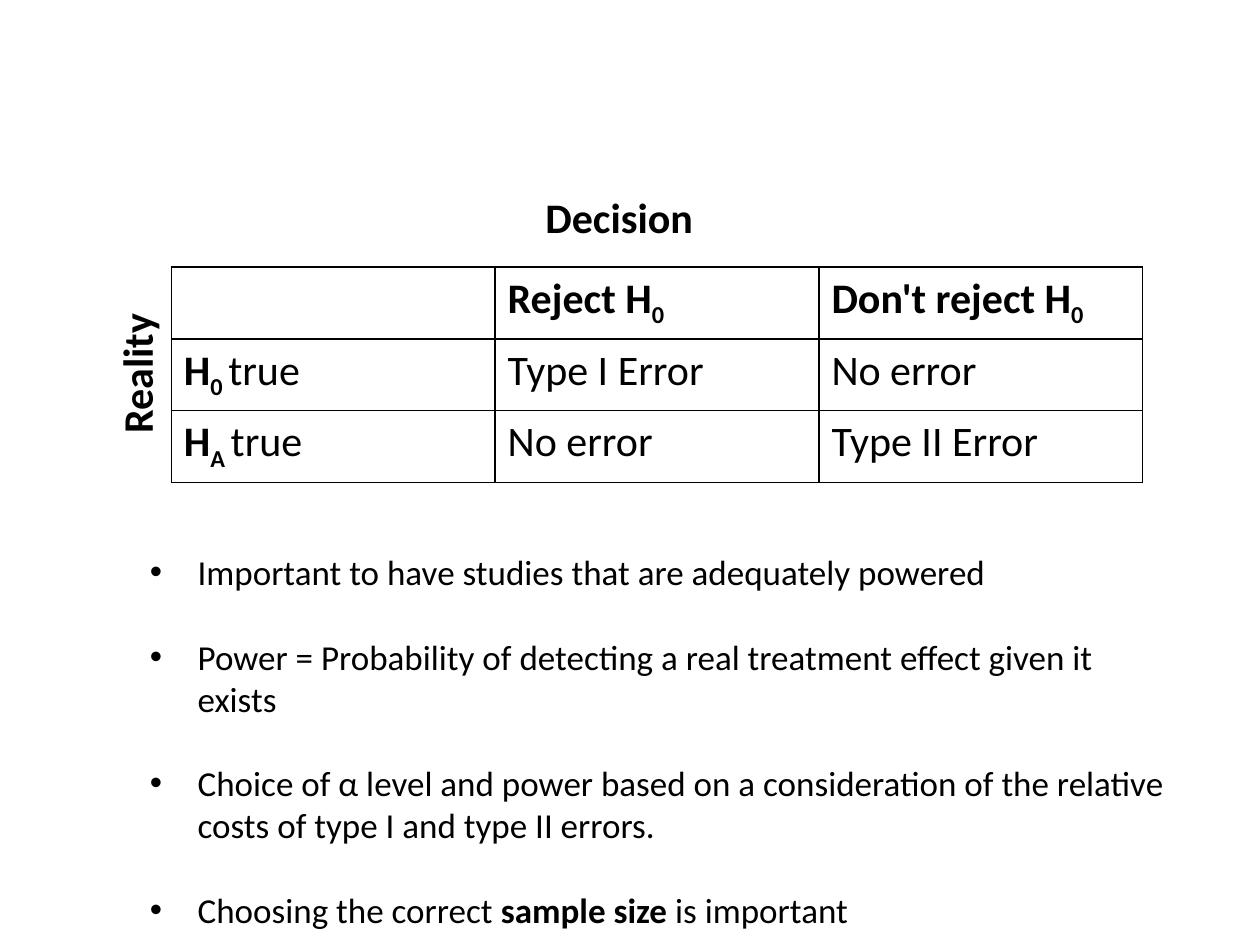
from lxml import etree
from pptx import Presentation
from pptx import util as u
from pptx.dml.color import RGBColor
from pptx.oxml.ns import qn

BLACK = RGBColor(0, 0, 0)
FONT = "Calibri"
PLAIN, BOLD, SUBSCRIPT = "plain", "bold", "subscript"  # subscripts are bold too

ERROR_TABLE = [
    [[],
     [("Reject H", BOLD), ("0", SUBSCRIPT)],
     [("Don't reject H", BOLD), ("0", SUBSCRIPT)]],
    [[("H", BOLD), ("0 ", SUBSCRIPT), ("true", PLAIN)],
     [("Type I Error", PLAIN)],
     [("No error", PLAIN)]],
    [[("H", BOLD), ("A ", SUBSCRIPT), ("true", PLAIN)],
     [("No error", PLAIN)],
     [("Type II Error", PLAIN)]],
]
BULLETS = [
    [("Important to have studies that are adequately powered", PLAIN)],
    [("Power = Probability of detecting a real treatment effect given it exists", PLAIN)],
    [("Choice of α level and power based on a consideration of the relative "
      "costs of type I and type II errors.", PLAIN)],
    [("Choosing the correct ", PLAIN), ("sample size ", BOLD), ("is important", PLAIN)],
]
AXIS_LABELS = [  # text, left, top, width, rotation
    ("Reality", 0.29, 2.5, 1.58, 270),
    ("Decision", 4.23, 1.47, 2.12, 0),
]
TABLE_LEFT, TABLE_TOP = 1.36, 2.12
COLUMN_WIDTH, ROW_HEIGHT = 2.57, 0.57
INDENT = 0.38


def write_text(frame, paragraphs, size=24, bullet=None, gap=0):
    """Fill a text frame with paragraphs, each a list of (text, style) runs."""
    frame.word_wrap = True
    for index, runs in enumerate(paragraphs):
        paragraph = frame.add_paragraph() if index else frame.paragraphs[0]
        if bullet:
            properties = paragraph._p.get_or_add_pPr()
            properties.set("marL", str(u.Inches(INDENT)))
            properties.set("indent", str(-u.Inches(INDENT)))
            etree.SubElement(properties, qn("a:buFont"), typeface="Arial")
            etree.SubElement(properties, qn("a:buChar"), char=bullet)
        if index:
            paragraph.space_before = u.Pt(gap)
        paragraph.font.size = u.Pt(size)
        for content, style in runs:
            run = paragraph.add_run()
            run.text = content
            font = run.font
            font.name, font.size, font.bold = FONT, u.Pt(size), style != PLAIN
            font.color.rgb = BLACK
            if style == SUBSCRIPT:
                run._r.get_or_add_rPr().set("baseline", "-25000")


def add_text_box(slide, left, top, width, height, paragraphs, rotation=0, **text_format):
    box = slide.shapes.add_textbox(*map(u.Inches, (left, top, width, height)))
    box.rotation = rotation
    write_text(box.text_frame, paragraphs, **text_format)


def set_borders(cell):
    properties = cell._tc.get_or_add_tcPr()
    for side in ("lnL", "lnR", "lnT", "lnB"):
        line = etree.SubElement(properties, qn(f"a:{side}"), w=str(u.Pt(1)))
        fill = etree.SubElement(line, qn("a:solidFill"))
        etree.SubElement(fill, qn("a:srgbClr"), val=str(BLACK))


def add_error_table(slide):
    rows, columns = len(ERROR_TABLE), len(ERROR_TABLE[0])
    table = slide.shapes.add_table(
        rows, columns, u.Inches(TABLE_LEFT), u.Inches(TABLE_TOP),
        u.Inches(columns * COLUMN_WIDTH), u.Inches(rows * ROW_HEIGHT)).table
    table.first_row = table.horz_banding = False
    for row, contents in enumerate(ERROR_TABLE):
        for column, runs in enumerate(contents):
            cell = table.cell(row, column)
            set_borders(cell)
            cell.fill.background()
            write_text(cell.text_frame, [runs])


def main():
    presentation = Presentation()
    presentation.slide_width, presentation.slide_height = u.Inches(10), u.Inches(7.5)
    slide = presentation.slides.add_slide(presentation.slide_layouts[6])
    add_error_table(slide)
    for label, left, top, width, rotation in AXIS_LABELS:
        add_text_box(slide, left, top, width, 0.5, [[(label, BOLD)]], rotation=rotation)
    add_text_box(slide, 1.09, 4.32, 8.25, 3.13, BULLETS, size=20, bullet="•", gap=24.4)
    presentation.save("out.pptx")


if __name__ == "__main__":
    main()
